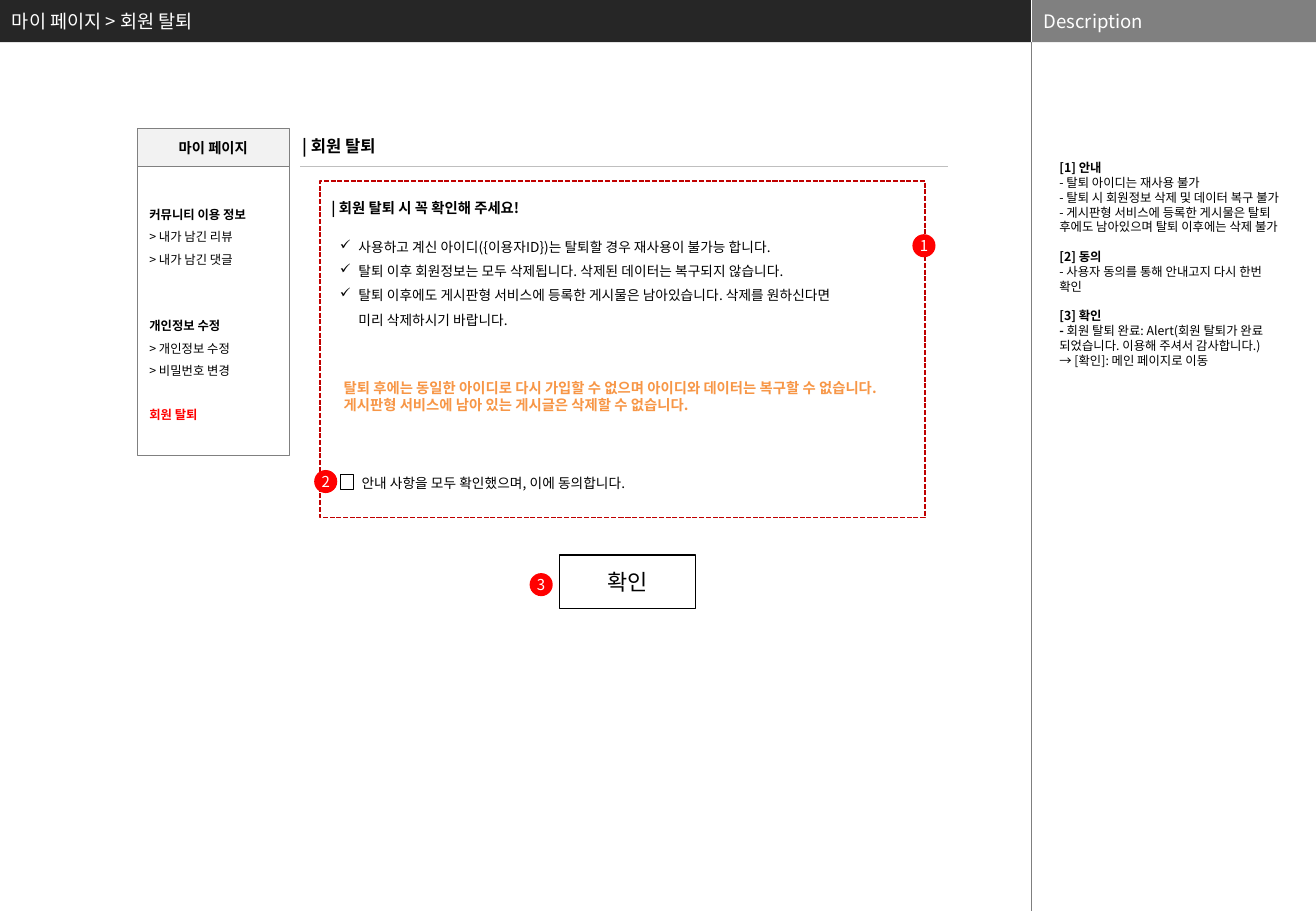
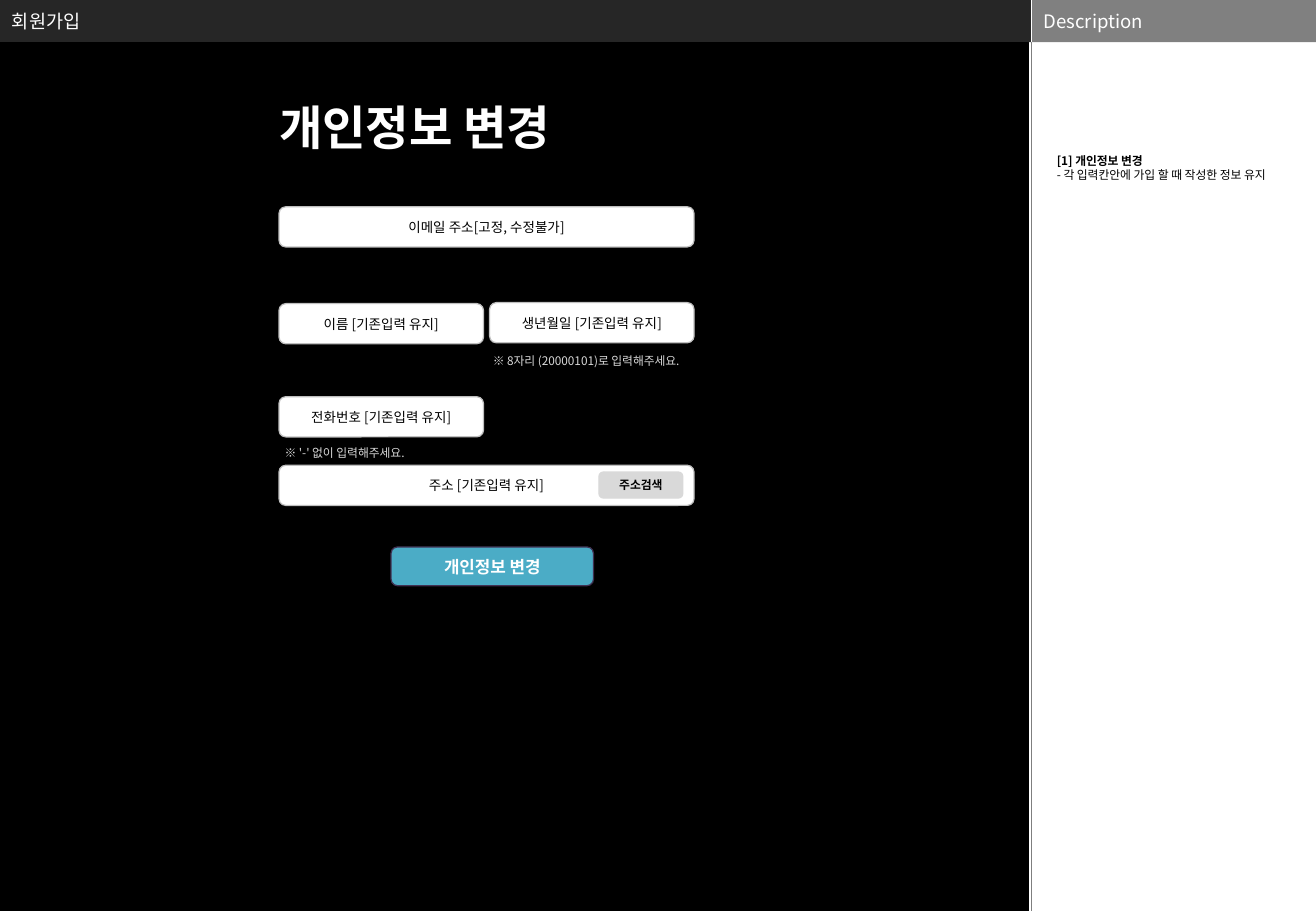
"""Build two wireframe slides: account withdrawal and profile change."""
from lxml import etree
from pptx import Presentation
from pptx.dml.color import RGBColor
from pptx.enum import dml, shapes, text
from pptx.oxml.ns import qn
from pptx.util import Pt

FONT = "Noto Sans CJK KR"
C = {
    "white": "FFFFFF", "black": "000000", "bar": "262626", "side": "808080",
    "rule": "7F7F7F", "pale": "F2F2F2", "silver": "BFBFBF", "light": "D9D9D9",
    "red": "FF0000", "dash": "C00000", "orange": "F79646", "teal": "4BACC6",
    "plum": "403152",
}
W, H = 780, 540
BAR_H, SIDE_X = 25, 611.5
RECT = shapes.MSO_SHAPE.RECTANGLE
ROUND = shapes.MSO_SHAPE.ROUNDED_RECTANGLE
OVAL = shapes.MSO_SHAPE.OVAL
LEFT, CENTER = text.PP_ALIGN.LEFT, text.PP_ALIGN.CENTER
TOP, MIDDLE = text.MSO_ANCHOR.TOP, text.MSO_ANCHOR.MIDDLE


def rgb(name):
    return RGBColor.from_string(C[name])


def para(*runs, bold=False, color=None, gap=0):
    return {"runs": [r if isinstance(r, tuple) else (r, bold) for r in runs],
            "color": color, "gap": gap}


def write(sp, paras, size, color="black", align=LEFT, anchor=TOP,
          inset=(7.2, 3.6), pitch=None, bullet=None):
    tf = sp.text_frame
    tf.word_wrap = True
    tf.vertical_anchor = anchor
    tf.margin_left = tf.margin_right = Pt(inset[0])
    tf.margin_top = tf.margin_bottom = Pt(inset[1])
    for i, item in enumerate(paras):
        p = tf.paragraphs[0] if i == 0 else tf.add_paragraph()
        p.alignment = align
        if item["gap"]:
            p.space_before = Pt(item["gap"])
        if pitch:
            p.line_spacing = Pt(pitch)
        if bullet:
            pPr = p._p.get_or_add_pPr()
            pPr.set("marL", str(Pt(11)))
            pPr.set("indent", str(-Pt(11)))
            etree.SubElement(pPr, qn("a:buChar"), char=bullet)
        for words, bold in item["runs"]:
            r = p.add_run()
            r.text = words
            r.font.size = Pt(size)
            r.font.bold = bold
            r.font.name = FONT
            r.font.color.rgb = rgb(item["color"] or color)
            etree.SubElement(r._r.get_or_add_rPr(), qn("a:ea"), typeface=FONT)


def label(s, x, y, w, h, paras, size, **style):
    sp = s.shapes.add_textbox(Pt(x), Pt(y), Pt(w), Pt(h))
    write(sp, paras, size, **style)


def box(s, kind, x, y, w, h, fill=None, line=None, width=0.75):
    sp = s.shapes.add_shape(kind, Pt(x), Pt(y), Pt(w), Pt(h))
    sp.shadow.inherit = False
    if fill:
        sp.fill.solid()
        sp.fill.fore_color.rgb = rgb(fill)
    else:
        sp.fill.background()
    if line:
        sp.line.color.rgb = rgb(line)
        sp.line.width = Pt(width)
    else:
        sp.line.fill.background()
    return sp


def rule(s, x1, y1, x2, y2, color, width):
    ln = s.shapes.add_connector(shapes.MSO_CONNECTOR.STRAIGHT,
                                Pt(x1), Pt(y1), Pt(x2), Pt(y2))
    ln.line.color.rgb = rgb(color)
    ln.line.width = Pt(width)
    etree.SubElement(ln._element.spPr, qn("a:effectLst"))


def badge(s, x, y, number):
    sp = box(s, OVAL, x, y, 13.7, 13.7, "red")
    write(sp, [para(number)], 8.9, "white", CENTER, MIDDLE, (0, 0))


def button(s, x, y, w, h, words, size=8, fill="white", line="silver",
           color="black", bold=False, kind=ROUND):
    sp = box(s, kind, x, y, w, h, fill, line)
    write(sp, [para(words, bold=bold)], size, color, CENTER, MIDDLE, (2.5, 2.5))


def description(s, x, y, paras, size, pitch):
    label(s, x, y, 137, 400, paras, size, inset=(2.2, 0), pitch=pitch)


def new_slide(prs, title):
    s = prs.slides.add_slide(prs.slide_layouts[6])
    box(s, RECT, 0, 0, SIDE_X, BAR_H, "bar")
    box(s, RECT, SIDE_X, 0, W - SIDE_X, BAR_H, "side")
    rule(s, SIDE_X, 0, SIDE_X, BAR_H, "white", 0.25)
    rule(s, SIDE_X, BAR_H, SIDE_X, H, "rule", 0.25)
    for x, w, words in ((0, 594, title), (SIDE_X, W - SIDE_X, "Description")):
        label(s, x, 0, w, BAR_H, [para(words)], 11, color="white", anchor=MIDDLE)
    return s


def withdrawal(prs):
    s = new_slide(prs, "마이 페이지 > 회원 탈퇴")
    description(s, 625.7, 95, [
        para("[1] 안내", bold=True),
        para("- 탈퇴 아이디는 재사용 불가"),
        para("- 탈퇴 시 회원정보 삭제 및 데이터 복구 불가"),
        para("- 게시판형 서비스에 등록한 게시물은 탈퇴 후에도 남아있으며 탈퇴 이후에는 삭제 불가"),
        para("[2] 동의", bold=True, gap=8.8),
        para("- 사용자 동의를 통해 안내고지 다시 한번 확인"),
        para("[3] 확인", bold=True, gap=8.8),
        para(("- ", True), "회원 탈퇴 완료: Alert(회원 탈퇴가 완료 되었습니다. 이용해 주셔서 감사합니다.)"),
        para("→ [확인]: 메인 페이지로 이동"),
    ], 7.3, 8.8)

    menu = box(s, RECT, 81.4, 98.8, 90, 171.2, line="side", width=0.5)
    write(menu, [
        para("커뮤니티 이용 정보", bold=True),
        para("> 내가 남긴 리뷰"),
        para("> 내가 남긴 댓글"),
        para("개인정보 수정", bold=True, gap=26.4),
        para("> 개인정보 수정"),
        para("> 비밀번호 변경"),
        para("회원 탈퇴", bold=True, color="red", gap=13.2),
    ], 7.3, anchor=MIDDLE, pitch=13.2)
    head = box(s, RECT, 81.4, 76, 90, 22.8, "pale", "side", 0.5)
    write(head, [para("마이 페이지", bold=True)], 8.5, align=CENTER, anchor=MIDDLE)

    label(s, 172, 77, 160, 19, [para("| 회원 탈퇴", bold=True)], 9.8)
    rule(s, 178, 98.8, 562, 98.8, "silver", 0.75)
    frame = box(s, RECT, 189.8, 107.2, 358.4, 199.6, line="dash", width=1)
    frame.line.dash_style = dml.MSO_LINE.SQUARE_DOT
    label(s, 189.4, 114.4, 180, 17.3,
          [para("| 회원 탈퇴 시 꼭 확인해 주세요!", bold=True)], 8.5)
    label(s, 194.4, 133.2, 320, 65, [
        para("사용하고 계신 아이디({이용자ID})는 탈퇴할 경우 재사용이 불가능 합니다."),
        para("탈퇴 이후 회원정보는 모두 삭제됩니다. 삭제된 데이터는 복구되지 않습니다."),
        para("탈퇴 이후에도 게시판형 서비스에 등록한 게시물은 남아있습니다. "
             "삭제를 원하신다면 미리 삭제하시기 바랍니다."),
    ], 8.1, pitch=14.4, bullet="✓")
    label(s, 196.6, 221, 346, 38, [
        para("탈퇴 후에는 동일한 아이디로 다시 가입할 수 없으며 아이디와 데이터는 복구할 수 없습니다.", bold=True),
        para("게시판형 서비스에 남아 있는 게시글은 삭제할 수 없습니다.", bold=True),
    ], 8.5, color="orange", pitch=10.3)
    box(s, RECT, 201.8, 281.4, 7.8, 8.6, "white", "black")
    label(s, 207.2, 278, 227, 17.3,
          [para("안내 사항을 모두 확인했으며, 이에 동의합니다.")], 8.1)
    button(s, 331.6, 329, 80.6, 31.6, "확인", 13, line="black", kind=RECT)
    for number, (x, y) in enumerate(((540.8, 138.8), (186.2, 278.6), (313.9, 339.7)), 1):
        badge(s, x, y, str(number))


def profile_change(prs):
    s = new_slide(prs, "회원가입")
    box(s, RECT, 0, BAR_H, 609.8, H - BAR_H, "black", "black")
    description(s, 624.2, 91, [
        para("[1] 개인정보 변경", bold=True),
        para("- 각 입력칸안에 가입 할 때 작성한 정보 유지"),
    ], 7, 8.4)
    label(s, 158.4, 54.7, 278, 41, [para("개인정보 변경", bold=True)], 28, color="white")

    left, full, half, field_h = 165.4, 246, 121.2, 23.8
    right = left + full - half
    for x, y, w, words in (
        (left, 122.6, full, "이메일 주소[고정, 수정불가]"),
        (left, 180, half, "이름 [기존입력 유지]"),
        (right, 179.4, half, "생년월일 [기존입력 유지]"),
        (left, 235.2, half, "전화번호 [기존입력 유지]"),
        (left, 275.8, full, "주소 [기존입력 유지]"),
    ):
        button(s, x, y, w, field_h, words)
    for x, y, words in ((285, 206, "※ 8자리 (20000101)로 입력해주세요."),
                        (161.6, 260.6, "※ '-' 없이 입력해주세요.")):
        label(s, x, y, 264, 15.8, [para(words)], 7, color="light")
    button(s, 355, 279.8, 49.7, 15.4, "주소검색", 7, "light", "light", bold=True)
    button(s, 231.8, 324.2, 120, 23, "개인정보 변경", 10, "teal", "plum", "white", True)


def main():
    prs = Presentation()
    prs.slide_width, prs.slide_height = Pt(W), Pt(H)
    withdrawal(prs)
    profile_change(prs)
    prs.save("out.pptx")


if __name__ == "__main__":
    main()
